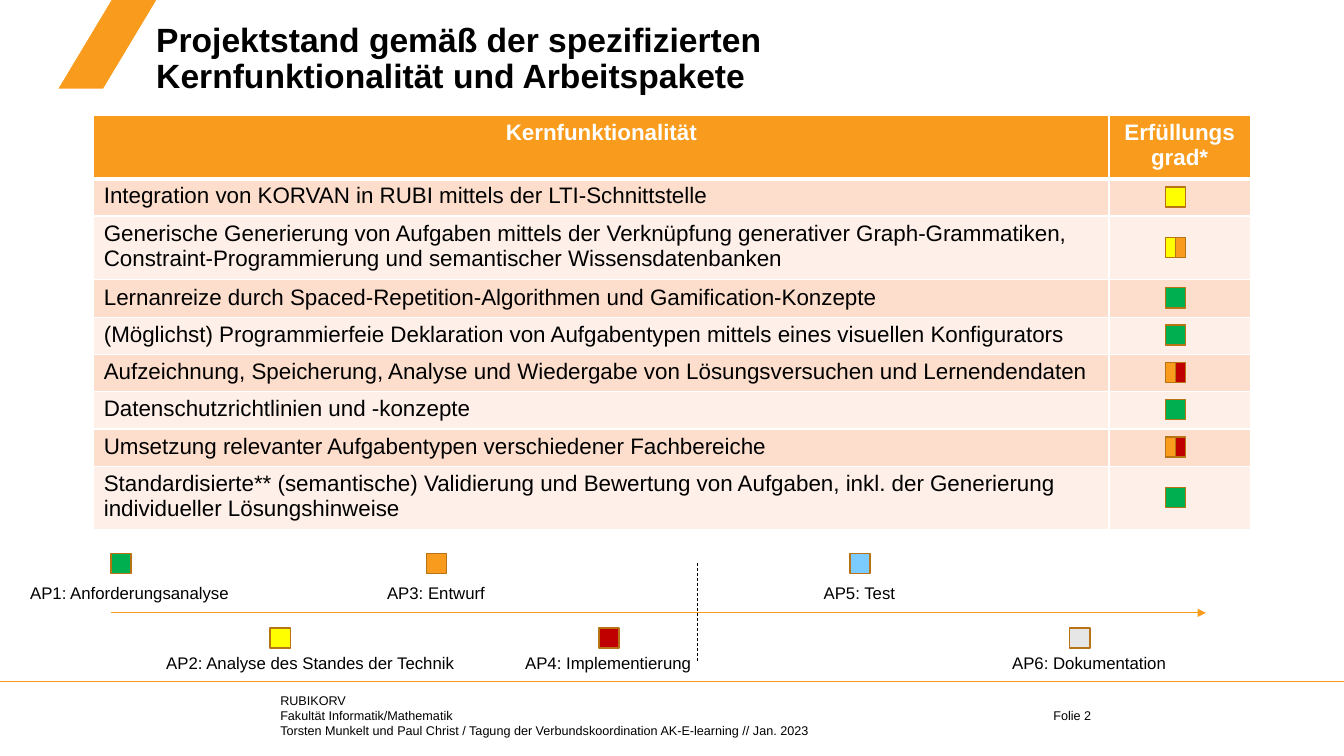
from itertools import accumulate

from lxml import etree
from pptx import Presentation
from pptx.dml.color import RGBColor
from pptx.enum.dml import MSO_LINE
from pptx.enum.shapes import MSO_CONNECTOR, MSO_SHAPE as Shape
from pptx.enum.text import MSO_ANCHOR as Anchor, PP_ALIGN as Align
from pptx.oxml.ns import qn
from pptx.util import Inches, Pt

# Content
ORANGE, BLACK, WHITE, OUTLINE = "F99B1C", "000000", "FFFFFF", "B87315"
BANDS = ("FDDECD", "FEEFE8")
TITLE = "Projektstand gemäß der spezifizierten\vKernfunktionalität und Arbeitspakete"
FOOTER = ("RUBIKORV\nFakultät Informatik/Mathematik\n"
          "Torsten Munkelt und Paul Christ / Tagung der Verbundskoordination AK-E-learning // Jan. 2023")
PAGE = "Folie 2"
HEADER = ("Kernfunktionalität", "Erfüllungsgrad*")
# colour, marker left, label left, label width
PACKAGES = {
    "AP1: Anforderungsanalyse": ("00B050", 1.1, 0.2, 2.19),
    "AP2: Analyse des Standes der Technik": ("FFFF00", 2.68, 1.55, 3.08),
    "AP3: Entwurf": (ORANGE, 4.23, 3.74, 1.18),
    "AP4: Implementierung": ("C00000", 5.94, 5.11, 1.86),
    "AP5: Test": ("7CCBFF", 8.43, 8.07, 0.92),
    "AP6: Dokumentation": ("E7E6E6", 10.61, 9.94, 1.74),
}
# text, number of lines, package of the full marker, side of an AP3 half
FUNCTIONS = [
    ("Integration von KORVAN in RUBI mittels der LTI-Schnittstelle", 1, "AP2", None),
    ("Generische Generierung von Aufgaben mittels der Verknüpfung generativer Graph-Grammatiken, "
     "Constraint-Programmierung und semantischer Wissensdatenbanken", 2, "AP2", "right"),
    ("Lernanreize durch Spaced-Repetition-Algorithmen und Gamification-Konzepte", 1, "AP1", None),
    ("(Möglichst) Programmierfeie Deklaration von Aufgabentypen mittels eines visuellen Konfigurators",
     1, "AP1", None),
    ("Aufzeichnung, Speicherung, Analyse und Wiedergabe von Lösungsversuchen und Lernendendaten",
     1, "AP4", "left"),
    ("Datenschutzrichtlinien und -konzepte", 1, "AP1", None),
    ("Umsetzung relevanter Aufgabentypen verschiedener Fachbereiche", 1, "AP4", "left"),
    ("Standardisierte** (semantische) Validierung und Bewertung von Aufgaben, inkl. der Generierung "
     "individueller Lösungshinweise", 2, "AP1", None),
]

# Layout in inches
TABLE_LEFT, TABLE_TOP = 0.93, 1.14
COLUMNS = (10.07, 1.4)
LINE_HEIGHTS = {1: 0.37, 2: 0.63}
MARKER = 0.2
MARKER_LEFT = 11.56
LANES = ((5.49, 5.73), (6.23, 6.43))  # marker top, label top

deck = Presentation()
deck.slide_width, deck.slide_height = Inches(13.33), Inches(7.5)
slide = deck.slides.add_slide(deck.slide_layouts[6])
shapes = slide.shapes


def rgb(value):
    return RGBColor.from_string(value)


def write(frame, text, size=12, color=BLACK, bold=False, align=Align.LEFT, spacing=None):
    frame.text = text
    for paragraph in frame.paragraphs:
        paragraph.alignment = align
        if spacing:
            paragraph.line_spacing = spacing
        for run in paragraph.runs:
            run.font.name, run.font.size, run.font.bold = "Arial", Pt(size), bold
            run.font.color.rgb = rgb(color)


def add_text(text, left, top, width, height, inset=True, wrap=True, anchor=Anchor.TOP, **style):
    frame = shapes.add_textbox(*map(Inches, (left, top, width, height))).text_frame
    frame.word_wrap, frame.vertical_anchor = wrap, anchor
    if not inset:
        frame.margin_left = frame.margin_right = frame.margin_top = frame.margin_bottom = 0
    write(frame, text, **style)


def add_block(kind, left, top, width, height, fill, line=None):
    block = shapes.add_shape(kind, *map(Inches, (left, top, width, height)))
    block.shadow.inherit = False
    block.fill.solid()
    block.fill.fore_color.rgb = rgb(fill)
    if line:
        block.line.color.rgb, block.line.width = rgb(line), Pt(1)
    else:
        block.line.fill.background()
    return block


def add_marker(left, top, fill, width=MARKER):
    add_block(Shape.RECTANGLE, left, top, width, MARKER, fill, OUTLINE)


def add_line(x1, y1, x2, y2, color, width, dash=None, arrow=False):
    line = shapes.add_connector(MSO_CONNECTOR.STRAIGHT, *map(Inches, (x1, y1, x2, y2)))
    line.line.color.rgb, line.line.width = rgb(color), Pt(width)
    if dash:
        line.line.dash_style = dash
    if arrow:
        etree.SubElement(line.line._get_or_add_ln(), qn("a:tailEnd"), type="triangle")
    etree.SubElement(line._element.spPr, qn("a:effectLst"))


def style_cell(cell, fill, bottom=1, top=1):
    properties = cell._tc.get_or_add_tcPr()
    for side, width in (("L", 1), ("R", 1), ("T", top), ("B", bottom)):
        border = etree.SubElement(properties, qn(f"a:ln{side}"), w=str(Pt(width)))
        paint = etree.SubElement(border, qn("a:solidFill"))
        etree.SubElement(paint, qn("a:srgbClr"), val=WHITE)
    cell.fill.solid()
    cell.fill.fore_color.rgb = rgb(fill)


# Frame of the slide
add_text(FOOTER, 2.78, 6.87, 6.71, 0.45, inset=False, size=9)
add_text(PAGE, 10.35, 6.97, 0.8, 0.25, size=9)
accent = add_block(Shape.PARALLELOGRAM, 0.58, 0, 0.97, 0.88, ORANGE)
accent.adjustments[0] = 0.6
add_line(0, 6.76, 13.33, 6.76, ORANGE, 1)
add_text(TITLE, 1.55, 0.27, 11.17, 0.68, inset=False, anchor=Anchor.BOTTOM,
         size=24, bold=True, spacing=0.9)

# Table of core functions
heights = [LINE_HEIGHTS[2]] + [LINE_HEIGHTS[lines] for _, lines, _, _ in FUNCTIONS]
table = shapes.add_table(len(heights), len(COLUMNS), *map(
    Inches, (TABLE_LEFT, TABLE_TOP, sum(COLUMNS), sum(heights)))).table
table.horz_banding = False
for column, width in zip(table.columns, COLUMNS):
    column.width = Inches(width)
for row, height in zip(table.rows, heights):
    row.height = Inches(height)
for cell, heading in zip(table.rows[0].cells, HEADER):
    style_cell(cell, ORANGE, bottom=3)
    write(cell.text_frame, heading, size=16, color=WHITE, bold=True, align=Align.CENTER)
for index, (text, *_) in enumerate(FUNCTIONS):
    name_cell, status_cell = table.rows[index + 1].cells
    for cell in (name_cell, status_cell):
        style_cell(cell, BANDS[index % 2], top=1 if index else 3)
    write(name_cell.text_frame, text, size=16)
    # Keeps the empty cell as low as its row
    etree.SubElement(status_cell.text_frame.paragraphs[0]._p, qn("a:endParaRPr"), sz="1600")

# Timeline of work packages
add_line(1.1, 6.08, 11.96, 6.08, ORANGE, 0.5, arrow=True)
for index, (label, (color, marker_left, label_left, width)) in enumerate(PACKAGES.items()):
    marker_top, label_top = LANES[index % 2]
    add_marker(marker_left, marker_top, color)
    add_text(label, label_left, label_top, width, 0.3, wrap=False)
add_line(6.92, 5.59, 6.92, 6.58, BLACK, 0.5, dash=MSO_LINE.DASH)

# Status markers, centred in their rows
package_colors = {label[:3]: color for label, (color, *_) in PACKAGES.items()}
row_tops = accumulate(heights[:-1], initial=TABLE_TOP)
for (_, _, package, half), top, height in zip(FUNCTIONS, list(row_tops)[1:], heights[1:]):
    marker_top = top + (height - MARKER) / 2
    add_marker(MARKER_LEFT, marker_top, package_colors[package])
    if half:
        half_left = MARKER_LEFT + (MARKER / 2 if half == "right" else 0)
        add_marker(half_left, marker_top, package_colors["AP3"], MARKER / 2)

deck.save("out.pptx")
